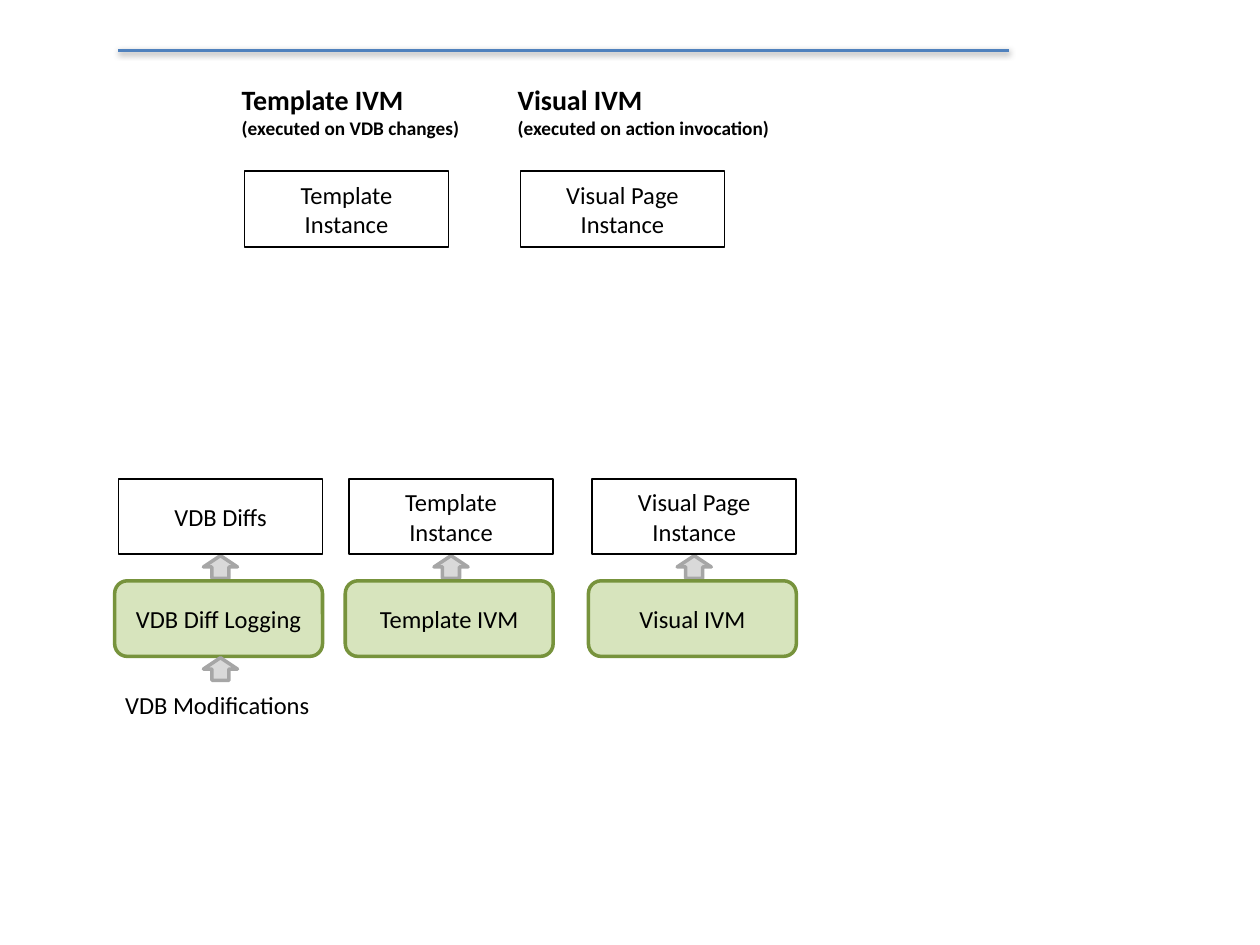
import dataclasses

import pptx
import pptx.dml.color
import pptx.enum.shapes
import pptx.enum.text
import pptx.oxml
import pptx.oxml.ns
import pptx.util

KIND = pptx.enum.shapes.MSO_SHAPE
ALIGN = pptx.enum.text.PP_ALIGN
ANCHOR = pptx.enum.text.MSO_ANCHOR
INCH = pptx.util.Inches


@dataclasses.dataclass(frozen=True)
class Theme:
    font: str = "Calibri"
    ink: str = "000000"
    paper: str = "FFFFFF"
    step: str = "D7E4BD"
    edge: str = "77933C"
    arrow: str = "D9D9D9"
    rim: str = "A6A6A6"
    rule: str = "4F81BD"
    head: int = 16
    body: int = 14
    note: int = 11


THEME = Theme()

# Grid: columns of the flow, and the size of its parts
COLS = (0.94, 2.77, 4.7)
BOX_W, BOX_H = 1.62, 0.6
STEP_W = 1.65
ARROW_W, ARROW_H = 0.27, 0.18
DATA_Y, UP_Y, STEP_Y, IN_Y, BASE_Y = 3.8, 4.41, 4.61, 5.22, 5.42
HEAD_Y, TOP_Y = 0.61, 1.36


def color(code):
    return pptx.dml.color.RGBColor.from_string(code)


def style(par, size, bold=False):
    for run in par.runs:
        run.font.name = THEME.font
        run.font.size = pptx.util.Pt(size)
        run.font.bold = bold
        run.font.color.rgb = color(THEME.ink)


def shape(slide, kind, area, fill, line, width):
    item = slide.shapes.add_shape(kind, *map(INCH, area))
    item.shadow.inherit = False
    item.fill.solid()
    item.fill.fore_color.rgb = color(fill)
    item.line.color.rgb = color(line)
    item.line.width = pptx.util.Pt(width)
    return item


def label(item, text, inset):
    frame = item.text_frame
    frame.word_wrap = True
    frame.vertical_anchor = ANCHOR.MIDDLE
    frame.margin_left = frame.margin_right = INCH(inset)
    frame.margin_top = frame.margin_bottom = 0
    frame.text = text
    frame.paragraphs[0].alignment = ALIGN.CENTER
    style(frame.paragraphs[0], THEME.body)


def data(slide, left, top, text):
    """White box that holds a data set."""
    item = shape(slide, KIND.ROUNDED_RECTANGLE, (left, top, BOX_W, BOX_H),
                 THEME.paper, THEME.ink, 1)
    item.adjustments[0] = 0
    label(item, text, 0.16)


def step(slide, left, text):
    """Green box for a process, flush right with the data box above."""
    area = (left + BOX_W - STEP_W, STEP_Y, STEP_W, BOX_H)
    item = shape(slide, KIND.ROUNDED_RECTANGLE, area,
                 THEME.step, THEME.edge, 2)
    label(item, text, 0.05)


def arrow(slide, left, top):
    area = (left + (BOX_W - ARROW_W) / 2, top, ARROW_W, ARROW_H)
    shape(slide, KIND.UP_ARROW, area, THEME.arrow, THEME.rim, 2)


def heading(slide, left, width, title, note):
    box = slide.shapes.add_textbox(*map(INCH, (left, HEAD_Y, width, 0.56)))
    frame = box.text_frame
    frame.word_wrap = True
    frame.text = title
    style(frame.paragraphs[0], THEME.head, True)
    par = frame.add_paragraph()
    par.text = note
    style(par, THEME.note, True)


def rule(slide):
    line = slide.shapes.add_connector(
        pptx.enum.shapes.MSO_CONNECTOR.STRAIGHT,
        *map(INCH, (COLS[0], 0.4, 8.01, 0.4)))
    line.line.color.rgb = color(THEME.rule)
    line.line.width = pptx.util.Pt(2)
    # Soft shadow straight below the line
    line._element.spPr.append(pptx.oxml.parse_xml(
        f'<a:effectLst {pptx.oxml.ns.nsdecls("a")}>'
        '<a:outerShdw blurRad="40000" dist="20000" dir="5400000" '
        f'rotWithShape="0"><a:srgbClr val="{THEME.ink}">'
        '<a:alpha val="38000"/></a:srgbClr></a:outerShdw></a:effectLst>'))


def main():
    deck = pptx.Presentation()
    deck.slide_width, deck.slide_height = INCH(10), INCH(7.5)
    slide = deck.slides.add_slide(deck.slide_layouts[6])
    rule(slide)

    # Headed instances at the top
    tops = (
        (1.94, 1.99, "Template IVM", "(executed on VDB changes)",
         "Template Instance"),
        (4.13, 2.34, "Visual IVM", "(executed on action invocation)",
         "Visual Page Instance"),
    )
    for left, width, title, note, text in tops:
        heading(slide, left - 0.12, width, title, note)
        data(slide, left, TOP_Y, text)

    # Flow: each process feeds the data above it
    flow = (("VDB Diffs", "VDB Diff Logging"),
            ("Template Instance", "Template IVM"),
            ("Visual Page Instance", "Visual IVM"))
    for left, (result, work) in zip(COLS, flow):
        arrow(slide, left, UP_Y)
        step(slide, left, work)
        data(slide, left, DATA_Y, result)

    # Input of the first process
    arrow(slide, COLS[0], IN_Y)
    base = slide.shapes.add_textbox(*map(INCH, (0.86, BASE_Y, 1.73, 0.34)))
    label(base, "VDB Modifications", 0.1)

    deck.save("out.pptx")


if __name__ == "__main__":
    main()
